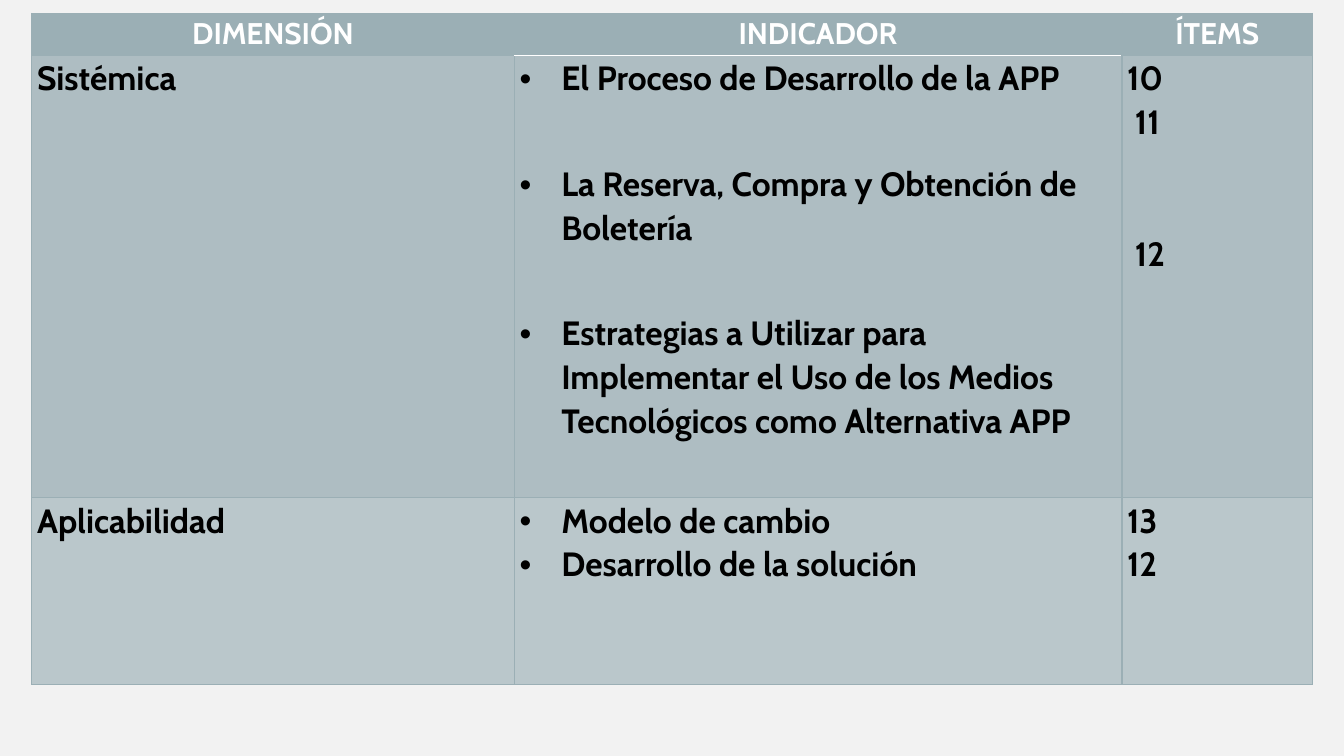
from lxml import etree
from pptx import Presentation
from pptx.dml.color import RGBColor
from pptx.enum.text import PP_ALIGN
from pptx.oxml.ns import qn
from pptx.util import Cm, Pt

CENTER, LEFT = PP_ALIGN.CENTER, PP_ALIGN.LEFT
FONT = "Cabin"
BACKGROUND, WHITE, BLACK = "F2F2F2", "FFFFFF", "000000"
STEEL, STEEL_MEDIUM, STEEL_LIGHT = "9BAFB5", "AEBDC2", "BAC7CB"

COLUMN_WIDTHS = [9.12, 11.48, 3.61]
ROW_HEIGHTS = [0.8, 8.35, 3.53]
ROW_FILLS = [STEEL, STEEL_MEDIUM, STEEL_LIGHT]
HANGING = 0.79
ITEM_INDENT = 0.15
TOPIC_GAP = 33
ITEM_GAP = 47

# Each paragraph: text, points of space before, left indent in cm
HEADERS = ["DIMENSIÓN", "INDICADOR", "ÍTEMS"]
BODY = [
    [
        [("Sistémica", 0, 0)],
        [
            ("El Proceso de Desarrollo de la APP", 0, HANGING),
            ("La Reserva, Compra y Obtención de Boletería", TOPIC_GAP, HANGING),
            ("Estrategias a Utilizar para Implementar el Uso de los Medios "
             "Tecnológicos como Alternativa APP", TOPIC_GAP, HANGING),
        ],
        [("10", 0, 0), ("11", 0, ITEM_INDENT), ("12", ITEM_GAP, ITEM_INDENT)],
    ],
    [
        [("Aplicabilidad", 0, 0)],
        [("Modelo de cambio", 0, HANGING), ("Desarrollo de la solución", 0, HANGING)],
        [("13", 0, 0), ("12", 0, 0)],
    ],
]


def rgb(hex_color):
    return RGBColor.from_string(hex_color)


def set_all(target, values):
    for name, value in values.items():
        setattr(target, name, value)


def add_border(cell, side, color, width):
    line = etree.SubElement(cell._tc.get_or_add_tcPr(), qn(f"a:ln{side}"), w=str(Pt(width)))
    fill = etree.SubElement(line, qn("a:solidFill"))
    etree.SubElement(fill, qn("a:srgbClr"), val=color)


def style_cell(cell, row, column):
    """Set margins, borders and fill; white rule under the middle header."""
    set_all(cell, {"margin_left": Cm(0.1), "margin_right": Cm(0.1),
                   "margin_top": 0, "margin_bottom": 0})
    borders = {side: (STEEL, 0.5) for side in "LRTB"}
    if column == 1:
        borders["R"] = (STEEL, 1)
        if row < 2:
            borders["B" if row == 0 else "T"] = (WHITE, 1)
    elif column == 2:
        borders["L"] = (STEEL, 1)
    for side, (color, width) in borders.items():
        add_border(cell, side, color, width)
    cell.fill.solid()
    cell.fill.fore_color.rgb = rgb(ROW_FILLS[row])


def indent(paragraph, left, bulleted):
    properties = paragraph._p.get_or_add_pPr()
    properties.set("marL", str(Cm(left)))
    properties.set("indent", str(-Cm(left) if bulleted else 0))
    if bulleted:
        etree.SubElement(properties, qn("a:buFont"), typeface="Arial")
        etree.SubElement(properties, qn("a:buChar"), char="•")


def write_cell(cell, entries, size, color, alignment, bulleted=False):
    frame = cell.text_frame
    for index, (text, gap, left) in enumerate(entries):
        paragraph = frame.add_paragraph() if index else frame.paragraphs[0]
        set_all(paragraph, {"alignment": alignment, "line_spacing": 1.07,
                            "space_before": Pt(gap), "space_after": Pt(0)})
        indent(paragraph, left, bulleted)
        run = paragraph.add_run()
        run.text = text
        set_all(run.font, {"name": FONT, "size": Pt(size), "bold": True})
        run.font.color.rgb = rgb(color)


def add_indicator_table(slide):
    table = slide.shapes.add_table(
        len(ROW_HEIGHTS), len(COLUMN_WIDTHS), Cm(0.6), Cm(0.25),
        Cm(sum(COLUMN_WIDTHS)), Cm(sum(ROW_HEIGHTS))).table
    set_all(table, {"first_row": False, "horz_banding": False})
    for column, width in zip(table.columns, COLUMN_WIDTHS):
        column.width = Cm(width)
    for row, height in zip(table.rows, ROW_HEIGHTS):
        row.height = Cm(height)

    for column, header in enumerate(HEADERS):
        cell = table.cell(0, column)
        style_cell(cell, 0, column)
        write_cell(cell, [(header, 0, 0)], 16, WHITE, CENTER)
    for row, contents in enumerate(BODY, start=1):
        for column, entries in enumerate(contents):
            cell = table.cell(row, column)
            style_cell(cell, row, column)
            write_cell(cell, entries, 18, BLACK, LEFT, bulleted=column == 1)


def main():
    deck = Presentation()
    set_all(deck, {"slide_width": Cm(25.4), "slide_height": Cm(14.28)})
    slide = deck.slides.add_slide(deck.slide_layouts[6])
    slide.background.fill.solid()
    slide.background.fill.fore_color.rgb = rgb(BACKGROUND)
    add_indicator_table(slide)
    deck.save("out.pptx")


if __name__ == "__main__":
    main()
